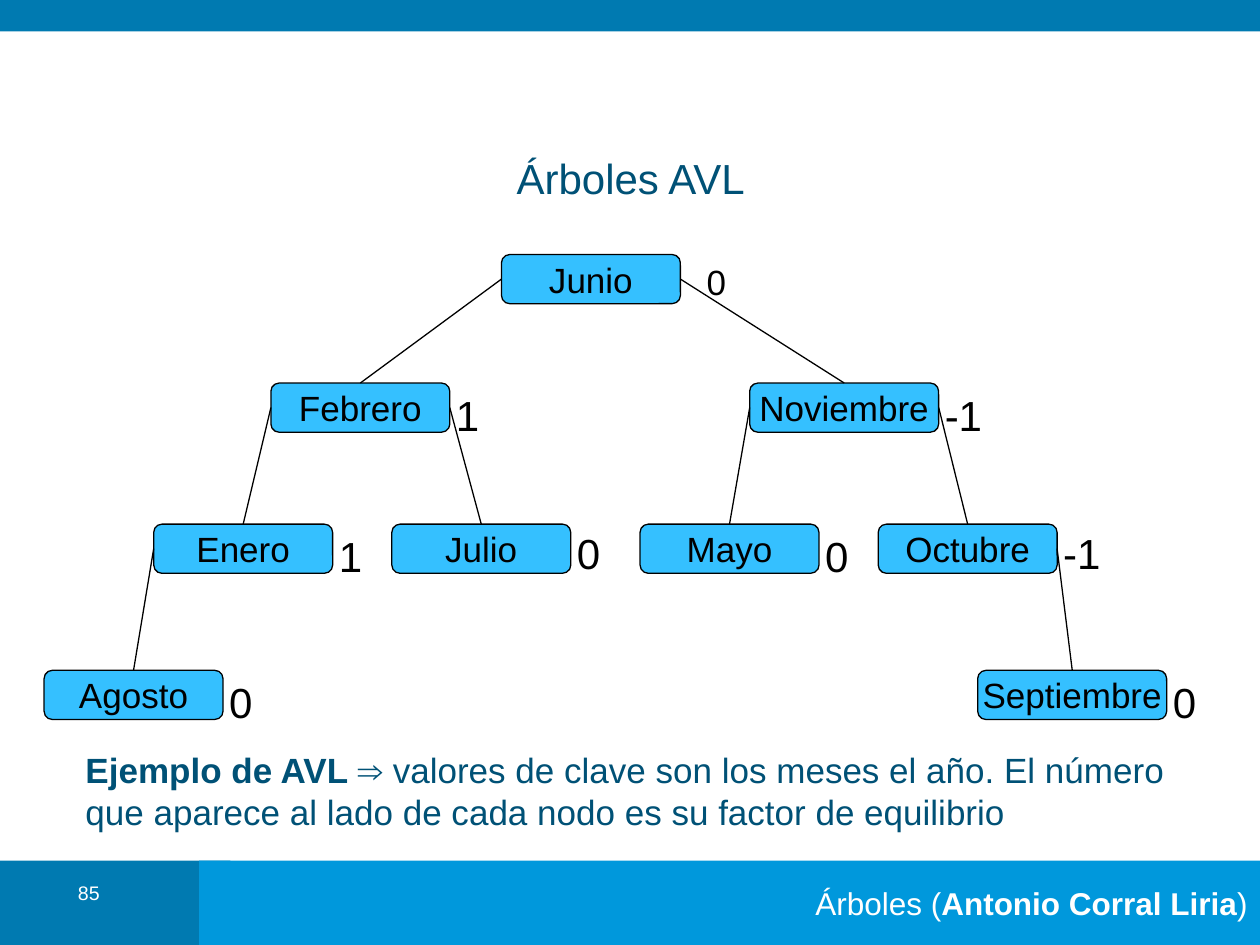
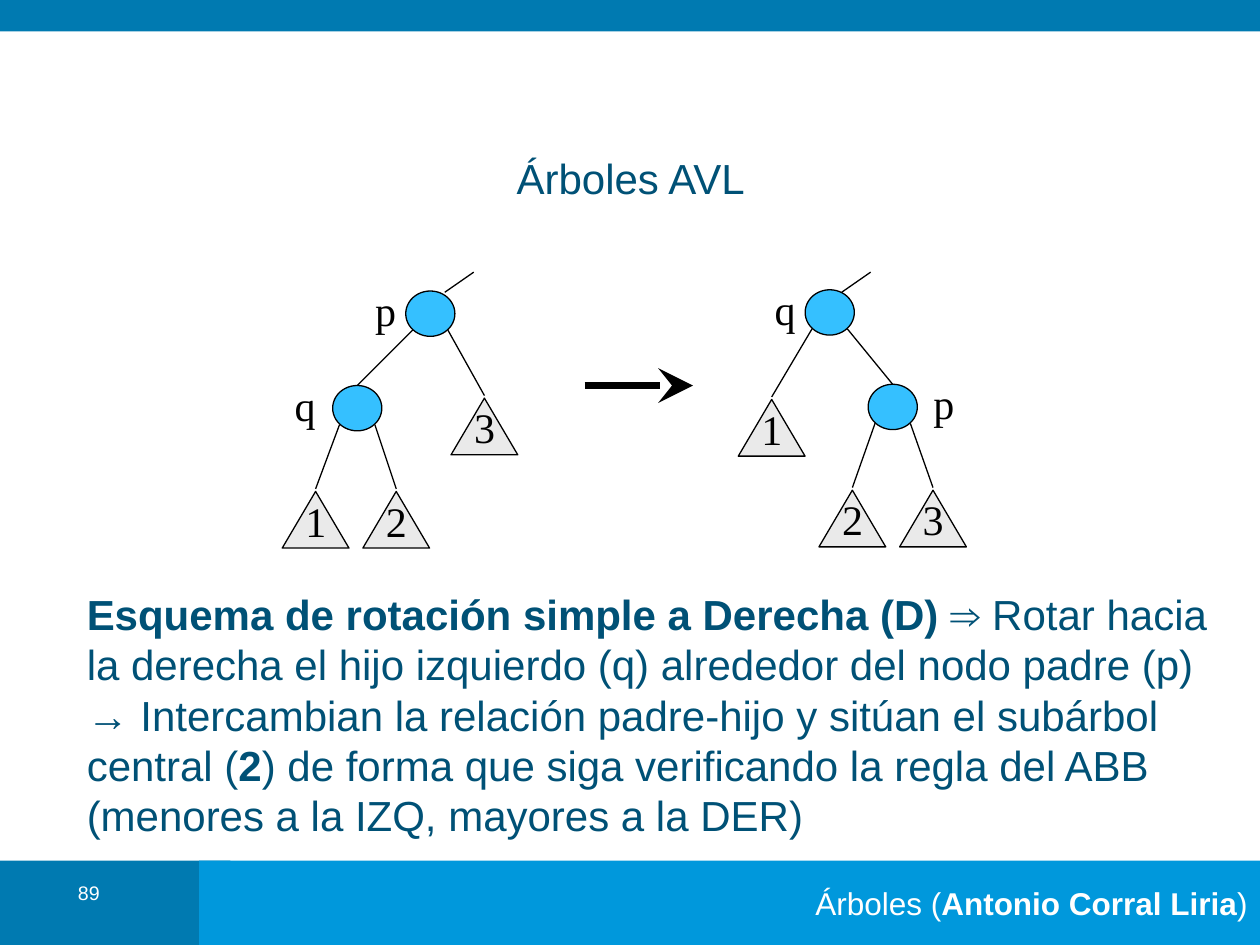
from lxml import etree
from pptx import Presentation
from pptx.dml.color import RGBColor
from pptx.enum.shapes import MSO_CONNECTOR, MSO_SHAPE
from pptx.enum.text import MSO_ANCHOR, PP_ALIGN
from pptx.oxml.ns import qn
from pptx.util import Inches, Pt

LEFT, CENTER, RIGHT = PP_ALIGN.LEFT, PP_ALIGN.CENTER, PP_ALIGN.RIGHT
TOP, MIDDLE = MSO_ANCHOR.TOP, MSO_ANCHOR.MIDDLE
RECT, ROUNDED = MSO_SHAPE.RECTANGLE, MSO_SHAPE.ROUNDED_RECTANGLE
OVAL, TRIANGLE = MSO_SHAPE.OVAL, MSO_SHAPE.ISOSCELES_TRIANGLE
STRAIGHT = MSO_CONNECTOR.STRAIGHT

DARK_BLUE = RGBColor(0x00, 0x7A, 0xB1)
BAND_BLUE = RGBColor(0x00, 0x98, 0xDC)
TEXT_BLUE = RGBColor(0x00, 0x51, 0x76)
NODE_BLUE = RGBColor(0x35, 0xC0, 0xFF)
SUBTREE_GREY = RGBColor(0xEA, 0xEA, 0xEA)
BLACK = RGBColor(0x00, 0x00, 0x00)
WHITE = RGBColor(0xFF, 0xFF, 0xFF)
SANS, SERIF = "Arial", "Times New Roman"

# Rich text is a list of (text, bold) pairs.
TITLE = [("Árboles AVL", False)]
FOOTER = [("Árboles (", False), ("Antonio Corral Liria", True), (")", False)]

MONTHS_PAGE = 85
MONTHS_CAPTION = [
    ("Ejemplo de AVL ", True),
    ("⇒ valores de clave son los meses el año. El número que aparece "
     "al lado de cada nodo es su factor de equilibrio", False),
]
# month: left, level, width, balance factor, left child, right child
MONTHS = {
    "Junio": (3.98, 0, 1.42, "0", "Febrero", "Noviembre"),
    "Febrero": (2.15, 1, 1.42, "1", "Enero", "Julio"),
    "Noviembre": (5.95, 1, 1.5, "-1", "Mayo", "Octubre"),
    "Enero": (1.22, 2, 1.42, "1", "Agosto", None),
    "Julio": (3.11, 2, 1.42, "0", None, None),
    "Mayo": (5.08, 2, 1.42, "0", None, None),
    "Octubre": (6.97, 2, 1.42, "-1", None, "Septiembre"),
    "Agosto": (0.35, 3, 1.42, "0", None, None),
    "Septiembre": (7.76, 3, 1.5, "0", None, None),
}
LEVEL_TOPS = (2.02, 3.04, 4.16, 5.32)
MONTH_H = 0.39
# month: balance factor's shift from its usual place, size
BALANCE_TWEAKS = {"Junio": (0.16, 0, 20), "Julio": (0, -0.02, 24), "Octubre": (0, -0.02, 24)}
SITE_TOP, SITE_LEFT, SITE_RIGHT = 0, 1, 3

ROTATION_PAGE = 89
ROTATION_CAPTION = [
    ("Esquema de rotación simple a Derecha (D) ", True),
    ("⇒ Rotar hacia la derecha el hijo izquierdo (q) alrededor del nodo padre (p) "
     "→ Intercambian la relación padre-hijo y sitúan el subárbol central (", False),
    ("2", True),
    (") de forma que siga verificando la regla del ABB "
     "(menores a la IZQ, mayores a la DER)", False),
]
# nodes: left, top, label shift, children; subtrees: left, top
BEFORE = {
    "root_link": (3.53, 2.32),
    "nodes": {"p": (3.22, 2.31, -0.34, "q3"), "q": (2.64, 3.06, -0.4, "12")},
    "subtrees": {"1": (2.24, 3.9), "2": (2.88, 3.9), "3": (3.58, 3.16)},
}
AFTER = {
    "root_link": (6.68, 2.32),
    "nodes": {"q": (6.39, 2.3, -0.34, "1p"), "p": (6.89, 3.05, 0.42, "23")},
    "subtrees": {"1": (5.86, 3.17), "2": (6.5, 3.89), "3": (7.14, 3.89)},
}
NODE_W, NODE_H = 0.39, 0.36
SUBTREE_W, SUBTREE_H = 0.53, 0.45
LABEL_W, LABEL_H = 0.36, 0.5
LINK_DX, LINK_DY = 0.14, 0.13  # from a node's centre to where a child's link leaves


def write(shape, pieces, size, color, font=SANS, align=LEFT, anchor=TOP, wrap=False):
    frame = shape.text_frame
    frame.word_wrap = wrap
    frame.vertical_anchor = anchor
    paragraph = frame.paragraphs[0]
    paragraph.alignment = align
    for text, bold in pieces:
        run = paragraph.add_run()
        run.text = text
        run.font.name = font
        run.font.size = Pt(size)
        run.font.bold = bold
        run.font.color.rgb = color
    return paragraph


def add_text(slide, box, pieces, size, color, **style):
    textbox = slide.shapes.add_textbox(*map(Inches, box))
    return write(textbox, pieces, size, color, **style)


def add_figure(slide, kind, box, fill, outlined=True):
    figure = slide.shapes.add_shape(kind, *map(Inches, box))
    figure.shadow.inherit = False
    figure.fill.solid()
    figure.fill.fore_color.rgb = fill
    if outlined:
        figure.line.color.rgb = BLACK
        figure.line.width = Pt(0.75)
    else:
        figure.line.fill.background()
    return figure


def add_line(slide, start, end, width=0.75):
    line = slide.shapes.add_connector(STRAIGHT, *map(Inches, (*start, *end)))
    line.line.color.rgb = BLACK
    line.line.width = Pt(width)
    etree.SubElement(line._element.spPr, qn("a:effectLst"))
    return line


def add_page(deck, number):
    """Add a slide with the bands, footer, page number and title."""
    slide = deck.slides.add_slide(deck.slide_layouts[6])
    add_figure(slide, RECT, (0, 6.83, 1.83, 0.67), DARK_BLUE, outlined=False)
    footer = add_figure(slide, RECT, (1.58, 6.83, 8.42, 0.67), BAND_BLUE, outlined=False)
    write(footer, FOOTER, 18, WHITE, align=RIGHT, anchor=MIDDLE)
    add_figure(slide, RECT, (0, 0, 10, 0.25), DARK_BLUE, outlined=False)
    page = add_text(slide, (0.35, 6.98, 0.71, 0.32), [(str(number), False)], 11.2, WHITE,
                    align=CENTER, wrap=True)
    page.line_spacing = 0.8
    add_text(slide, (0.83, 1.2, 8.35, 0.42), TITLE, 24, TEXT_BLUE,
             align=CENTER, anchor=MIDDLE, wrap=True)
    return slide


def add_month_tree(slide):
    boxes = {}
    for month, (left, level, width, *_) in MONTHS.items():
        boxes[month] = add_figure(slide, ROUNDED, (left, LEVEL_TOPS[level], width, MONTH_H),
                                  NODE_BLUE)
        write(boxes[month], [(month, False)], 20, BLACK, align=CENTER, anchor=MIDDLE)

    for month, (left, level, width, balance, *children) in MONTHS.items():
        for child, site in zip(children, (SITE_LEFT, SITE_RIGHT)):
            if child:
                link = add_line(slide, (0, 0), (1, 1))
                link.begin_connect(boxes[month], site)
                link.end_connect(boxes[child], SITE_TOP)
        dx, dy, size = BALANCE_TWEAKS.get(month, (0, 0, 24))
        label_w = 0.5 if balance.startswith("-") else 0.39
        add_text(slide, (left + width - 0.05 + dx, LEVEL_TOPS[level] + dy, label_w, 0.5),
                 [(balance, False)], size, BLACK)


def add_label(slide, left, top, label):
    add_text(slide, (left, top, LABEL_W, LABEL_H), [(label, False)], 24, BLACK,
             font=SERIF, align=CENTER, anchor=MIDDLE)


def add_rotation_tree(slide, tree):
    tops = {}  # where the link from the parent arrives
    for name, (left, top, label_dx, _) in tree["nodes"].items():
        add_figure(slide, OVAL, (left, top, NODE_W, NODE_H), NODE_BLUE)
        add_label(slide, left + label_dx, top - 0.1, name)
        tops[name] = (left + NODE_W / 2, top)
    for name, (left, top) in tree["subtrees"].items():
        add_figure(slide, TRIANGLE, (left, top, SUBTREE_W, SUBTREE_H), SUBTREE_GREY)
        add_label(slide, left + (SUBTREE_W - LABEL_W) / 2, top - 0.02, name)
        tops[name] = (left + SUBTREE_W / 2, top - 0.02)

    x, y = tree["root_link"]
    add_line(slide, (x, y), (x + 0.23, y - 0.16))
    for name, (*_, children) in tree["nodes"].items():
        x, y = tops[name]
        for child, side in zip(children, (-1, 1)):
            add_line(slide, (x + side * LINK_DX, y + NODE_H / 2 + LINK_DY), tops[child])


def main():
    deck = Presentation()
    deck.slide_width, deck.slide_height = Inches(10), Inches(7.5)

    months = add_page(deck, MONTHS_PAGE)
    add_month_tree(months)
    add_text(months, (0.58, 5.89, 9.08, 0.77), MONTHS_CAPTION, 20, TEXT_BLUE, wrap=True)

    rotation = add_page(deck, ROTATION_PAGE)
    add_rotation_tree(rotation, BEFORE)
    arrow = add_line(rotation, (4.64, 3.06), (5.5, 3.06), width=4)
    etree.SubElement(arrow.line._get_or_add_ln(), qn("a:tailEnd"),
                     type="stealth", w="lg", len="lg")
    add_rotation_tree(rotation, AFTER)
    add_text(rotation, (0.59, 4.62, 9.21, 2.13), ROTATION_CAPTION, 24, TEXT_BLUE, wrap=True)

    deck.save("out.pptx")


if __name__ == "__main__":
    main()
